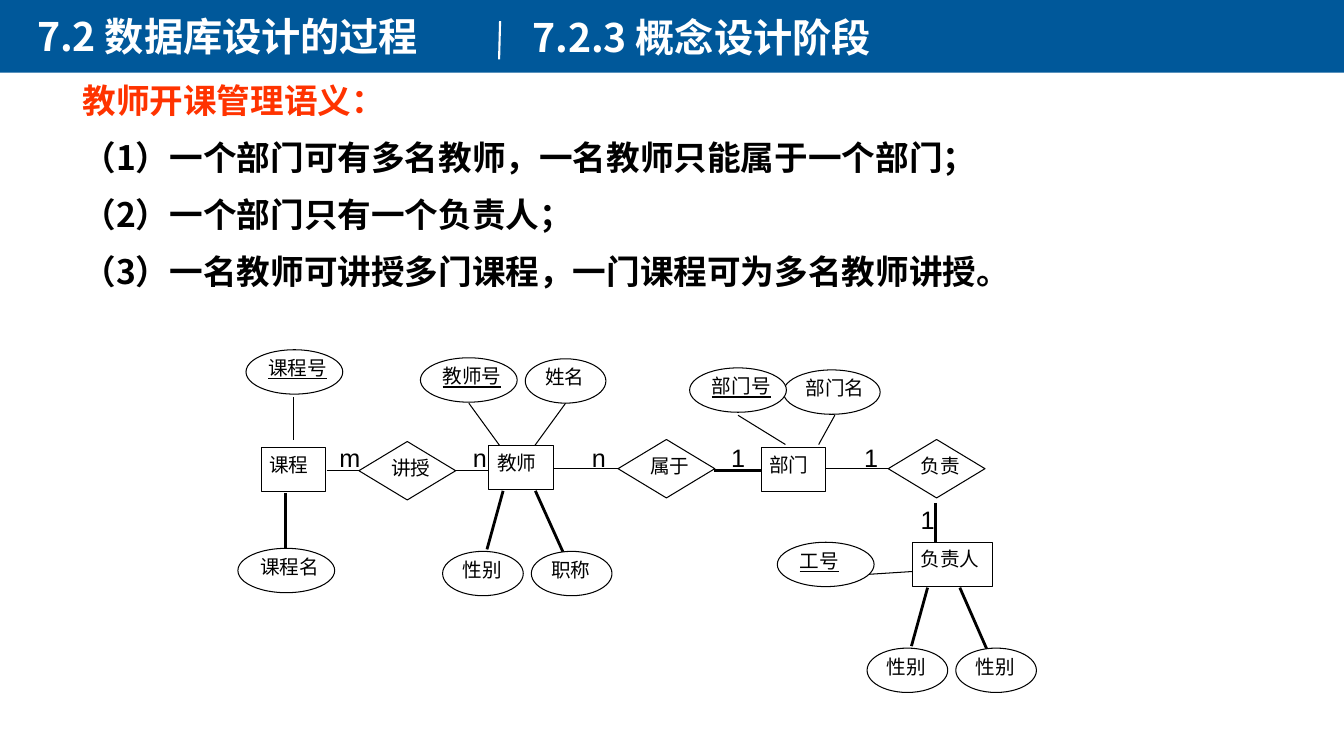
from pptx import Presentation
from pptx.dml.color import RGBColor
from pptx.enum.shapes import MSO_CONNECTOR, MSO_SHAPE
from pptx.enum.text import MSO_ANCHOR, PP_ALIGN
from pptx.oxml.ns import qn
from pptx.util import Inches, Pt

BLUE = RGBColor(0x00, 0x58, 0x9A)
RED = RGBColor(0xFF, 0x33, 0x00)
BLACK = RGBColor(0, 0, 0)
WHITE = RGBColor(0xFF, 0xFF, 0xFF)
CJK = "Noto Sans CJK SC"

TITLES = [("7.2 数据库设计的过程", 0.27, 0.07, 5.53), ("7.2.3 概念设计阶段", 5.18, 0.08, 8.65)]
SEMANTICS = [
    "教师开课管理语义：",
    "（1）一个部门可有多名教师，一名教师只能属于一个部门；",
    "（2）一个部门只有一个负责人；",
    "（3）一名教师可讲授多门课程，一门课程可为多名教师讲授。",
]
ENTITIES = [
    ("课程", 2.59, 4.44, 0.64), ("教师", 4.85, 4.42, 0.64),
    ("部门", 7.55, 4.44, 0.64), ("负责人", 9.05, 5.38, 0.79),
]
RELATIONSHIPS = [("讲授", 3.56, 4.38, 0.96), ("属于", 6.13, 4.36, 0.96), ("负责", 8.81, 4.36, 0.96)]
ATTRIBUTES = [
    ("课程名", 2.36, 5.44, 0.96), ("部门名", 7.77, 3.67, 0.96),
    ("姓名", 5.21, 3.56, 0.8), ("性别", 4.39, 5.47, 0.8), ("职称", 5.27, 5.47, 0.8),
    ("性别", 8.6, 6.43, 0.8), ("性别", 9.48, 6.43, 0.8),
]
KEYS = [
    ("课程号", 2.44, 3.47, 0.96), ("教师号", 4.17, 3.55, 0.96),
    ("部门号", 6.84, 3.65, 0.96), ("工号", 7.71, 5.38, 0.96),
]
HAIRLINES = [
    (5.64, 5.6, 5.31, 4.87), (2.83, 4.89, 2.83, 5.44), (4.99, 4.87, 4.83, 5.45),
    (7.55, 4.67, 7.08, 4.67), (9.28, 4.99, 9.28, 5.38), (9.84, 6.56, 9.52, 5.83),
    (9.2, 5.83, 9.04, 6.41),
]
LINKS = [
    (3.24, 4.67, 3.56, 4.67), (4.52, 4.67, 4.84, 4.67), (2.91, 3.94, 2.91, 4.37),
    (4.65, 4, 4.97, 4.44), (5.61, 4, 5.29, 4.44), (5.49, 4.65, 6.13, 4.65),
    (7.32, 4.12, 7.79, 4.41), (8.28, 4.12, 8.12, 4.41), (8.18, 4.65, 8.82, 4.65),
    (8.58, 5.7, 9.05, 5.67),
]
CARDINALITIES = [
    ("m", 3.47, 4.54), ("n", 4.76, 4.54), ("n", 5.94, 4.54),
    ("1", 7.32, 4.54), ("1", 8.64, 4.54), ("1", 9.2, 5.15),
]

prs = Presentation()
prs.slide_width, prs.slide_height = Inches(13.33), Inches(7.5)
s = prs.slides.add_slide(prs.slide_layouts[6])


def style(p, text, size, color, font, bold=False):
    p.text = text
    p.font.size, p.font.bold, p.font.name = Pt(size), bold, font
    p.font.color.rgb = color
    for r in p.runs:
        r.font.language_id = None
        ea = r._r.get_or_add_rPr().makeelement(qn("a:ea"), {"typeface": CJK})
        r._r.get_or_add_rPr().append(ea)


def add_text(left, top, width, height):
    sp = s.shapes.add_textbox(Inches(left), Inches(top), Inches(width), Inches(height))
    sp.text_frame.word_wrap = True
    return sp.text_frame


def add_line(ends, color, weight):
    c = s.shapes.add_connector(MSO_CONNECTOR.STRAIGHT, *map(Inches, ends))
    c.line.color.rgb, c.line.width = color, Pt(weight)
    sp_pr = c._element.spPr
    sp_pr.append(sp_pr.makeelement(qn("a:effectLst"), {}))


def add_node(kind, text, left, top, width, height, inset=0, underline=False):
    sp = s.shapes.add_shape(kind, Inches(left), Inches(top), Inches(width), Inches(height))
    sp.shadow.inherit = False
    sp.fill.solid()
    sp.fill.fore_color.rgb = WHITE
    sp.line.color.rgb, sp.line.width = BLACK, Pt(0)
    tf = sp.text_frame
    tf.vertical_anchor = MSO_ANCHOR.TOP
    tf.margin_left, tf.margin_right = Inches(0.08), Inches(2 * inset)
    tf.margin_top = tf.margin_bottom = Inches(inset)
    p = tf.paragraphs[0]
    style(p, text, 14, BLACK, "Times New Roman")
    p.alignment = PP_ALIGN.JUSTIFY
    p.runs[0].font.underline = underline


band = s.shapes.add_shape(MSO_SHAPE.RECTANGLE, 0, Inches(-0.02), prs.slide_width, Inches(0.74))
band.shadow.inherit = False
band.fill.solid()
band.fill.fore_color.rgb = BLUE
band.line.fill.background()
for text, left, top, width in TITLES:
    style(add_text(left, top, width, 0.57).paragraphs[0], text, 28, WHITE, CJK, True)
add_line((4.96, 0.21, 4.95, 0.59), WHITE, 1.5)

tf = add_text(0.47, 0.73, 9.49, 2.22)
tf.vertical_anchor = MSO_ANCHOR.MIDDLE
for i, text in enumerate(SEMANTICS):
    p = tf.add_paragraph() if i else tf.paragraphs[0]
    style(p, text, 24, BLACK if i else RED, CJK, True)
    p.space_before = Pt(12)
    p._p.get_or_add_pPr().set("indent", str(Inches(0.25)))

for ends in HAIRLINES:
    add_line(ends, BLACK, 0)
for ends in LINKS:
    add_line(ends, BLACK, 0.75)
for node in ENTITIES:
    add_node(MSO_SHAPE.FLOWCHART_PROCESS, *node, 0.44, inset=0.05)
for node in RELATIONSHIPS:
    add_node(MSO_SHAPE.FLOWCHART_DECISION, *node, 0.58)
for node in ATTRIBUTES:
    add_node(MSO_SHAPE.FLOWCHART_CONNECTOR, *node, 0.44)
for node in KEYS:
    add_node(MSO_SHAPE.FLOWCHART_CONNECTOR, *node, 0.44, underline=True)
for text, x, y in CARDINALITIES:
    tf = add_text(x - 0.2, y - 0.2, 0.4, 0.4)
    tf.margin_left = tf.margin_right = 0
    tf.vertical_anchor = MSO_ANCHOR.MIDDLE
    style(tf.paragraphs[0], text, 18, BLACK, "Arial")
    tf.paragraphs[0].alignment = PP_ALIGN.CENTER
prs.save("out.pptx")
